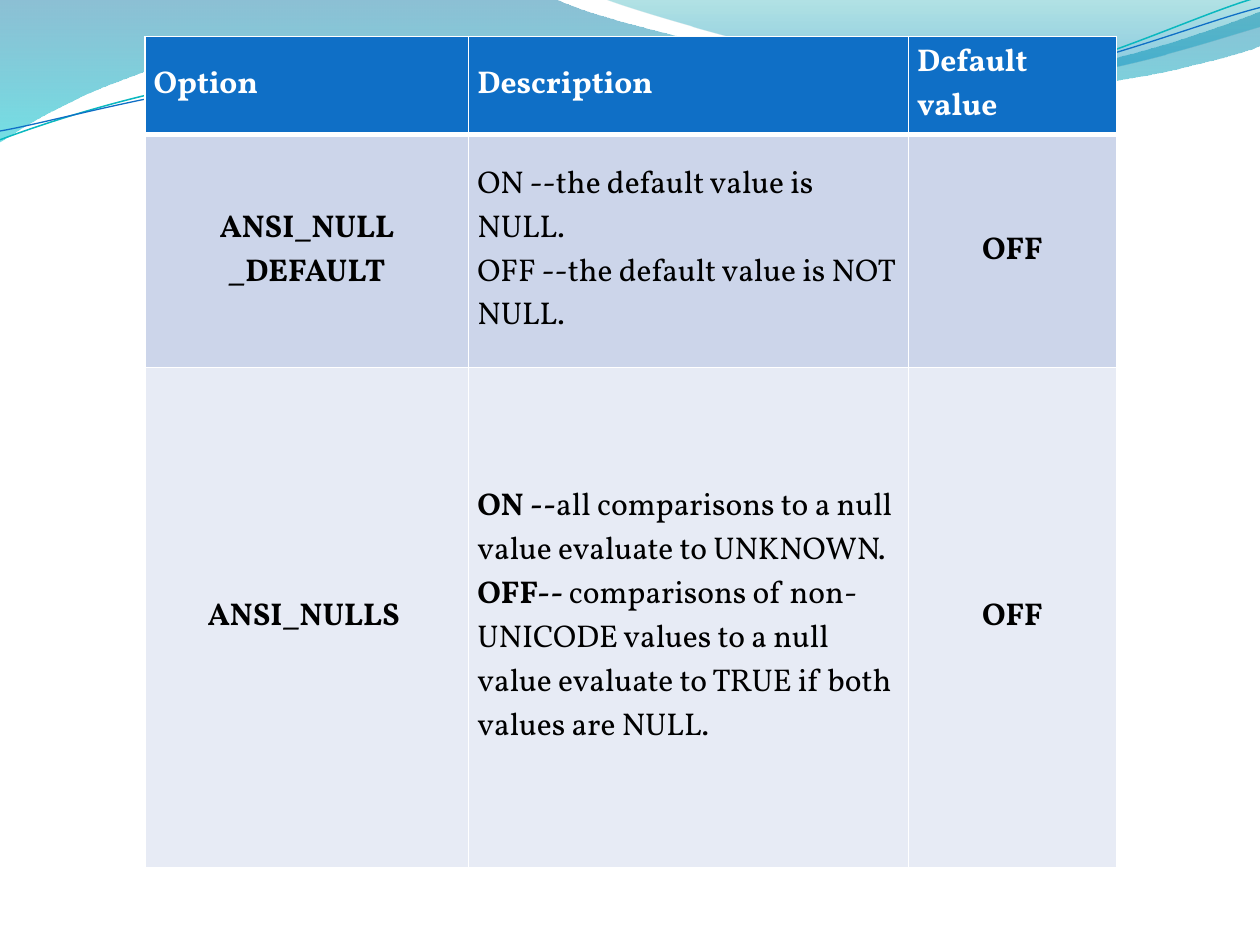
import dataclasses

import lxml.etree
import pptx
import pptx.dml.color
import pptx.enum.text
import pptx.oxml.ns
import pptx.util

Inches = pptx.util.Inches
Pt = pptx.util.Pt
qn = pptx.oxml.ns.qn


@dataclasses.dataclass(frozen=True)
class Theme:
    font: str = "Vollkorn"
    text_size: float = 18
    header_text: str = "FFFFFF"
    body_text: str = "000000"
    border: str = "FFFFFF"
    thin_border: float = 1
    thick_border: float = 3
    row_fills: tuple = ("0F6FC6", "CCD5EA", "E7EBF5")
    left_wave: tuple = (("0074A1", 0, 45), ("00C6CF", 1, 55))
    right_wave: tuple = (("00A1A9", 0, 30), ("008BBF", 0.8, 45))
    teal_line: tuple = ("0AB8BF", 0.85)
    blue_line: tuple = ("0F6FC6", 0.75)


THEME = Theme()

LEFT_WAVE = [
    (0, 0), (4.4, -0.01),
    (4.76, 0.17, 6.64, 0.63, 7.58, 0.63),
    (8.53, 0.63, 9.58, 0.26, 10, 0.09),
    (10.01, 0.36),
    (9.83, 0.44, 8.7, 0.76, 7.46, 0.75),
    (6.22, 0.75, 3.82, 0.28, 2.57, 0.34),
    (1.29, 0.36, 0.46, 0.83, -0.01, 1.13),
]
RIGHT_WAVE = [
    (4.79, -0.01),
    (5.09, 0.11, 6.82, 0.62, 7.69, 0.65),
    (8.56, 0.69, 9.61, 0.32, 10, 0.21),
    (10, 0),
]
TEAL_LINE = [
    (0, 1.11),
    (0.48, 0.93, 1.58, 0.57, 2.77, 0.52),
    (3.95, 0.47, 5.93, 0.89, 7.13, 0.8),
    (8.33, 0.71, 9.38, 0.15, 9.98, -0.02),
]
BLUE_LINE = [
    (0, 1.04),
    (0.47, 0.96, 1.64, 0.61, 2.83, 0.56),
    (4.03, 0.51, 5.97, 0.84, 7.17, 0.75),
    (8.36, 0.67, 9.41, 0.21, 10, 0.06),
]

COLUMN_WIDTHS = (2.57, 3.49, 1.65)
ROW_HEIGHTS = (0.55, 1.85, 3.97)
CENTRED_COLUMNS = (0, 2)

ROWS = [
    [
        [[("Option", True)]],
        [[("Description", True)]],
        [[("Default value", True)]],
    ],
    [
        [[("ANSI_NULL", True)], [("_DEFAULT", True)]],
        [
            [("ON --the default value is NULL.", False)],
            [("OFF --the default value is NOT NULL.", False)],
        ],
        [[("OFF", True)]],
    ],
    [
        [[("ANSI_NULLS ", True)]],
        [
            [("ON --", True),
             ("all comparisons to a null value evaluate to UNKNOWN.", False)],
            [("OFF-- ", True),
             ("comparisons of non-UNICODE values to a null value "
              "evaluate to TRUE if both values are NULL.", False)],
        ],
        [[("OFF", True)]],
    ],
]


def color(value):
    return pptx.dml.color.RGBColor.from_string(value)


def bend_segments(shape, segments):
    straight_lines = list(shape.element.iter(qn("a:lnTo")))
    for line, segment in zip(straight_lines, segments[1:]):
        if len(segment) == 2:
            continue
        curve = lxml.etree.Element(qn("a:cubicBezTo"))
        for x, y in zip(segment[::2], segment[1::2]):
            lxml.etree.SubElement(
                curve, qn("a:pt"),
                x=str(Inches(x) - shape.left), y=str(Inches(y) - shape.top),
            )
        line.getparent().replace(line, curve)


def add_outline(slide, segments, close):
    anchors = [(Inches(segment[-2]), Inches(segment[-1])) for segment in segments]
    builder = slide.shapes.build_freeform(*anchors[0])
    builder.add_line_segments(anchors[1:], close=close)
    shape = builder.convert_to_shape()
    bend_segments(shape, segments)
    shape.shadow.inherit = False
    return shape


def add_wave(slide, segments, stops):
    shape = add_outline(slide, segments, True)
    shape.line.fill.background()
    shape.fill.gradient()
    shape.fill.gradient_angle = 270
    for stop, (value, position, _) in zip(shape.fill.gradient_stops, stops):
        stop.color.rgb = color(value)
        stop.position = position
    gradient_colors = list(shape.element.spPr.iter(qn("a:srgbClr")))
    for element, (_, _, opacity) in zip(gradient_colors, stops):
        lxml.etree.SubElement(element, qn("a:alpha"), val=str(opacity * 1000))


def add_wave_line(slide, segments, style):
    shape = add_outline(slide, segments, False)
    shape.fill.background()
    shape.line.color.rgb = color(style[0])
    shape.line.width = Pt(style[1])


def set_borders(cell, top, bottom):
    properties = cell._tc.get_or_add_tcPr()
    widths = {"L": THEME.thin_border, "R": THEME.thin_border, "T": top, "B": bottom}
    for side, width in widths.items():
        line = lxml.etree.SubElement(properties, qn(f"a:ln{side}"), w=str(Pt(width)))
        fill = lxml.etree.SubElement(line, qn("a:solidFill"))
        lxml.etree.SubElement(fill, qn("a:srgbClr"), val=THEME.border)


def fill_cell(cell, paragraphs, text_color, alignment):
    cell.vertical_anchor = pptx.enum.text.MSO_ANCHOR.MIDDLE
    cell.margin_left = cell.margin_right = Inches(0.07)
    cell.margin_top = cell.margin_bottom = Inches(0.04)
    frame = cell.text_frame
    for index, runs in enumerate(paragraphs):
        paragraph = frame.add_paragraph() if index else frame.paragraphs[0]
        paragraph.alignment = alignment
        for text, bold in runs:
            run = paragraph.add_run()
            run.text = text
            run.font.name = THEME.font
            run.font.size = Pt(THEME.text_size)
            run.font.bold = bold
            run.font.color.rgb = color(text_color)


def add_options_table(slide):
    width, height = Inches(7.72), Inches(6.5)
    frame = slide.shapes.add_table(
        len(ROWS), len(COLUMN_WIDTHS), Inches(1.15), Inches(0.29), width, height
    )
    table = frame.table
    table.horz_banding = False
    for column, column_width in zip(table.columns, COLUMN_WIDTHS):
        column.width = Inches(column_width)
    for row, row_height in zip(table.rows, ROW_HEIGHTS):
        row.height = Inches(row_height)
    frame.width, frame.height = width, height
    align = pptx.enum.text.PP_ALIGN
    for row, contents in enumerate(ROWS):
        header = row == 0
        top = THEME.thick_border if row == 1 else THEME.thin_border
        bottom = THEME.thick_border if header else THEME.thin_border
        text_color = THEME.header_text if header else THEME.body_text
        for column, paragraphs in enumerate(contents):
            cell = table.cell(row, column)
            centred = not header and column in CENTRED_COLUMNS
            set_borders(cell, top, bottom)
            cell.fill.solid()
            cell.fill.fore_color.rgb = color(THEME.row_fills[row])
            fill_cell(cell, paragraphs, text_color,
                      align.CENTER if centred else align.LEFT)


def main():
    presentation = pptx.Presentation()
    presentation.slide_width = Inches(10)
    presentation.slide_height = Inches(7.5)
    slide = presentation.slides.add_slide(presentation.slide_layouts[6])
    add_wave(slide, LEFT_WAVE, THEME.left_wave)
    add_wave(slide, RIGHT_WAVE, THEME.right_wave)
    add_wave_line(slide, TEAL_LINE, THEME.teal_line)
    add_wave_line(slide, BLUE_LINE, THEME.blue_line)
    add_options_table(slide)
    presentation.save("out.pptx")


if __name__ == "__main__":
    main()
